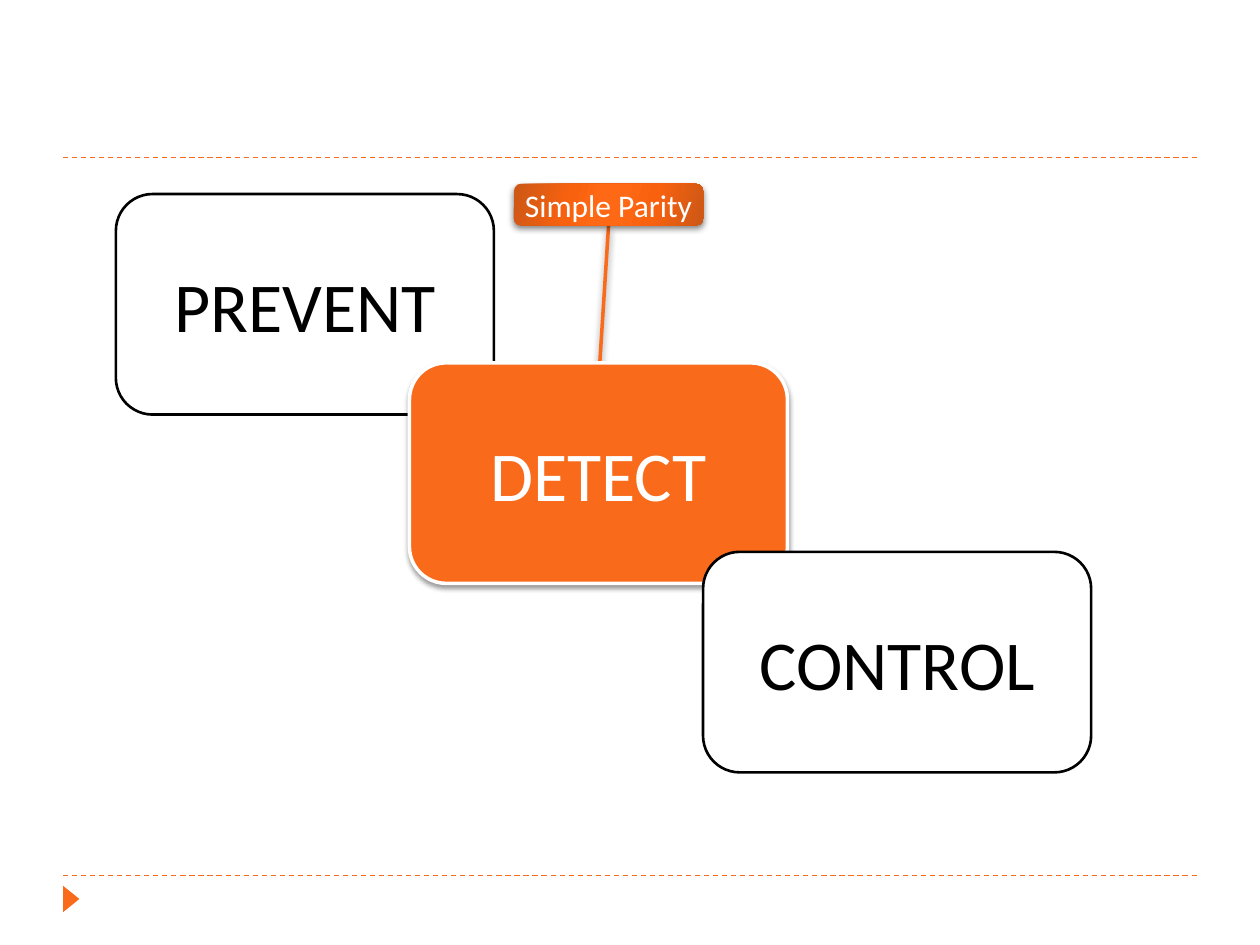
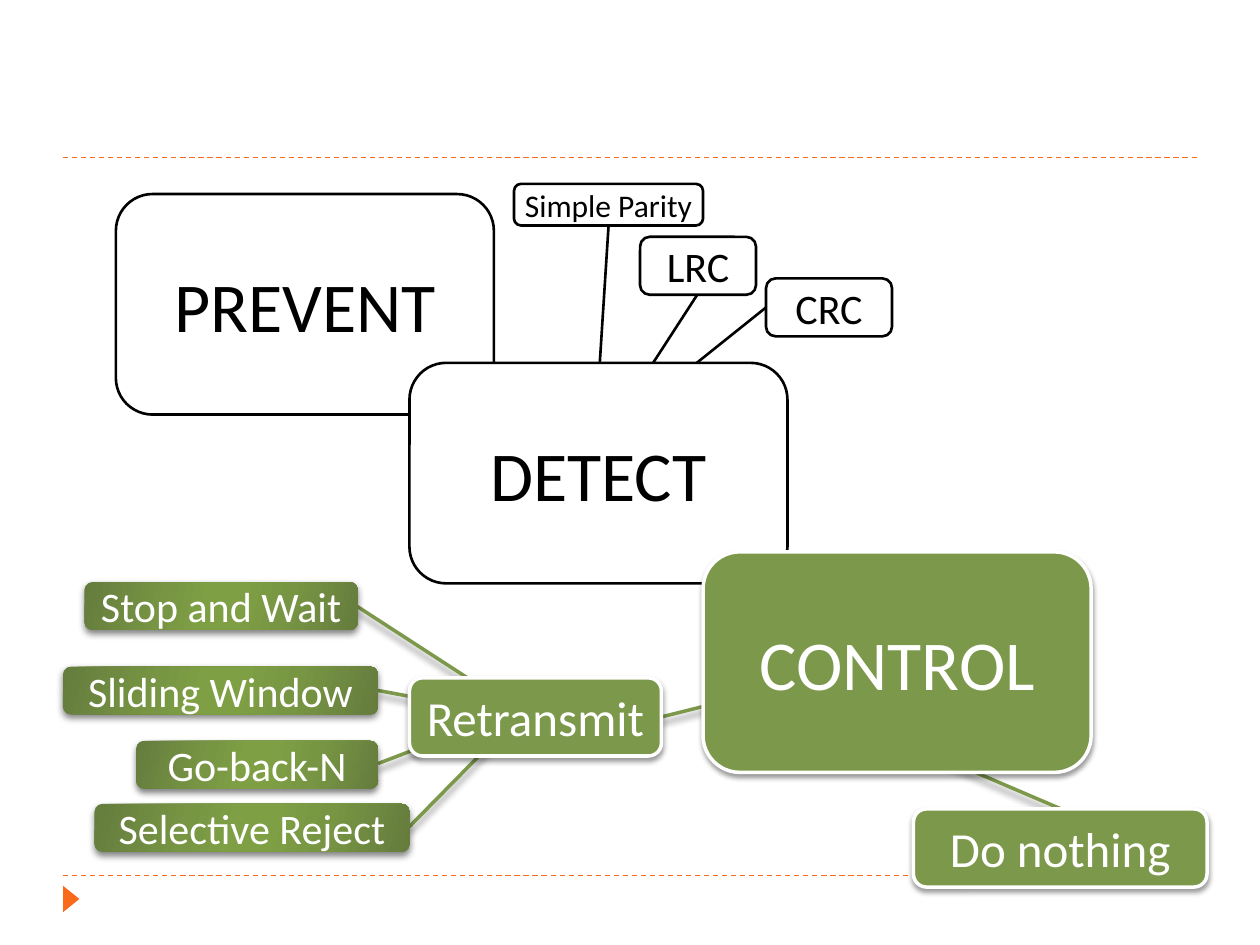
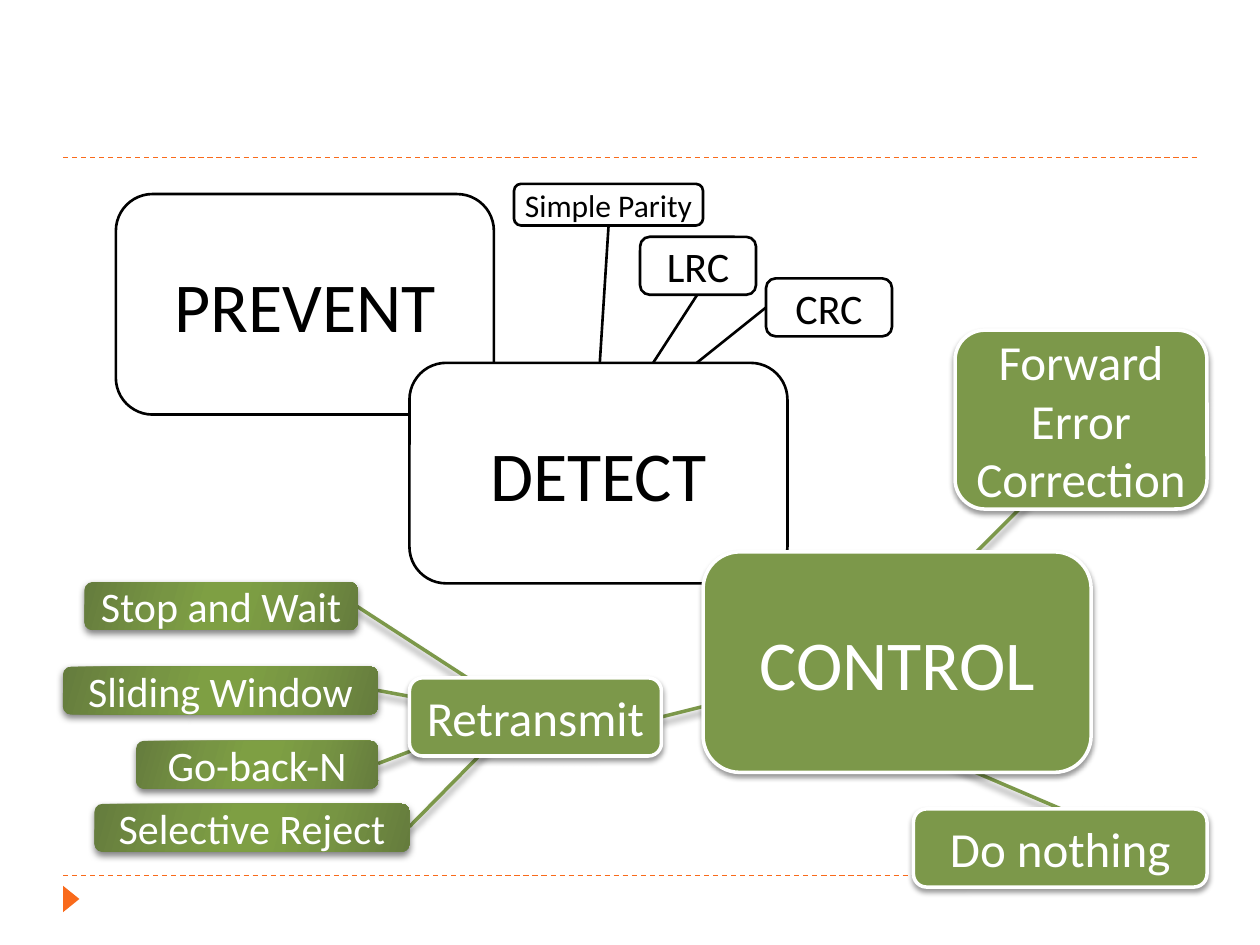
"""Build three slides that map ways to prevent, detect and control errors."""
from lxml import etree
from pptx import Presentation
from pptx.dml.color import RGBColor
from pptx.enum.dml import MSO_LINE
from pptx.enum.shapes import MSO_CONNECTOR, MSO_SHAPE
from pptx.enum.text import MSO_ANCHOR, PP_ALIGN
from pptx.oxml.ns import qn
from pptx.util import Inches, Pt

LINE = MSO_CONNECTOR.STRAIGHT
ROUND = MSO_SHAPE.ROUNDED_RECTANGLE
WEDGE = MSO_SHAPE.ISOSCELES_TRIANGLE
DASH = MSO_LINE.DASH
MIDDLE = MSO_ANCHOR.MIDDLE
CENTER = PP_ALIGN.CENTER

FONT = "Calibri"
HUES = {"black": "000000", "white": "FFFFFF", "orange": "F96A1B", "green": "7C984A"}
GLOSS = {
    "orange": ("CC5716", "F8620F", "FF6815"),
    "green": ("657C3D", "779543", "7E9F43"),
}
STOPS = ((0, 0), (30, 1), (45, 2), (55, 2), (73, 1), (100, 0))

NODES = {
    "PREVENT": (0.92, 1.54, 3, 1.75, 40),
    "DETECT": (3.25, 2.88, 3, 1.75, 40),
    "CONTROL": (5.58, 4.38, 3.08, 1.75, 40),
    "LRC": (5.08, 1.88, 0.92, 0.46, 24),
    "Simple Parity": (4.08, 1.46, 1.5, 0.33, 18),
    "CRC": (6.08, 2.21, 1, 0.46, 24),
    "Retransmit": (3.25, 5.38, 2, 0.62, 28),
    "Go-back-N": (1.08, 5.88, 1.92, 0.38, 24),
    "Sliding Window": (0.5, 5.29, 2.5, 0.38, 24),
    "Stop and Wait": (0.67, 4.62, 2.17, 0.38, 24),
    "Forward Error Correction": (7.58, 2.62, 2, 1.42, 28),
    "Selective Reject": (0.75, 6.38, 2.5, 0.38, 24),
    "Do nothing": (7.25, 6.42, 2.33, 0.62, 28),
}
TIGHT = ("Simple Parity", "Forward Error Correction")
LINKS = {
    "Do nothing": (8.42, 6.42, 7.25, 5.92),
    "Selective Reject": (3.92, 5.88, 3.25, 6.56),
    "Forward Error Correction": (7.42, 4.71, 8.25, 3.88),
    "Retransmit": (5.25, 5.69, 6.17, 5.46),
    "Stop and Wait": (4.08, 5.62, 2.83, 4.81),
    "Sliding Window": (3.75, 5.62, 3, 5.48),
    "Go-back-N": (3.92, 5.71, 3, 6.06),
    "LRC": (5.08, 3.04, 5.54, 2.33),
    "Simple Parity": (4.75, 3.04, 4.83, 1.79),
    "CRC": (5.33, 3.04, 6.08, 2.44),
}

PLAIN = ("PREVENT", "DETECT", "CONTROL", "LRC", "Simple Parity", "CRC")
SOLID = ("CONTROL", "Retransmit", "Do nothing")
SHINY = ("Go-back-N", "Sliding Window", "Stop and Wait", "Selective Reject")
PAGES = (
    ("orange", ("PREVENT", "CONTROL"), ("DETECT",), ("Simple Parity",)),
    ("green", PLAIN, SOLID, SHINY),
    ("green", PLAIN, SOLID + ("Forward Error Correction",), SHINY),
)


def shade(shape, blur, drop, alpha):
    """Give a shape or connector a soft shadow straight below it."""
    effects = etree.SubElement(shape.element.spPr, qn("a:effectLst"))
    outer = etree.SubElement(effects, qn("a:outerShdw"), blurRad=str(Pt(blur)),
                             dist=str(Pt(drop)), dir="5400000", rotWithShape="0")
    tint = etree.SubElement(outer, qn("a:srgbClr"), val=HUES["black"])
    etree.SubElement(tint, qn("a:alpha"), val=str(alpha * 1000))


def link(slide, ends, hue, width):
    """Draw a straight line between two points."""
    line = slide.shapes.add_connector(LINE, *map(Inches, ends))
    line.line.color.rgb = RGBColor.from_string(HUES[hue])
    line.line.width = Pt(width)
    return line


deck = Presentation()
deck.slide_width, deck.slide_height = Inches(10), Inches(7.5)
blank = deck.slide_layouts[6]
for holder in list(blank.placeholders):
    holder.element.getparent().remove(holder.element)
slides = [deck.slides.add_slide(blank) for page in PAGES]

frame = []
for top in (6.95, 1.25):
    rule = link(slides[0], (0.5, top, 9.5, top), "orange", 0.75)
    rule.line.dash_style = DASH
    etree.SubElement(rule.element.spPr, qn("a:effectLst"))
    frame.append(rule)
mark = slides[0].shapes.add_shape(WEDGE, *map(Inches, (0.46, 7.07, 0.21, 0.13)))
mark.rotation = 90
mark.fill.solid()
mark.fill.fore_color.rgb = RGBColor.from_string(HUES["orange"])
mark.line.fill.background()
mark.shadow.inherit = False
frame.append(mark)
for part in frame:
    blank.shapes.element.append(part.element)

for slide, (tone, plain, solid, shiny) in zip(slides, PAGES):
    shown = plain + solid + shiny
    for name, ends in LINKS.items():
        if name in plain:
            line = link(slide, ends, "black", 1.5)
            etree.SubElement(line.element.spPr, qn("a:effectLst"))
        elif name in shown:
            shade(link(slide, ends, tone, 2), 4, 3.4, 40)

    for name, (left, top, width, height, size) in NODES.items():
        if name not in shown:
            continue
        box = slide.shapes.add_shape(ROUND, *map(Inches, (left, top, width, height)))
        if name in shiny:
            box.fill.gradient()
            box.fill.gradient_angle = 344
            ramp = box.element.spPr.find(".//" + qn("a:gsLst"))
            ramp.clear()
            for spot, step in STOPS:
                stop = etree.SubElement(ramp, qn("a:gs"), pos=str(spot * 1000))
                etree.SubElement(stop, qn("a:srgbClr"), val=GLOSS[tone][step])
            box.line.fill.background()
            ink = "white"
            shade(box, 4, 2, 50)
        else:
            lit = name in solid
            fill, edge, ink = (tone, "white", "white") if lit else ("white", "black", "black")
            box.fill.solid()
            box.fill.fore_color.rgb = RGBColor.from_string(HUES[fill])
            box.line.color.rgb = RGBColor.from_string(HUES[edge])
            box.line.width = Pt(2 if lit else 1.5)
            if lit:
                shade(box, 3, 2, 40)
            else:
                box.shadow.inherit = False

        text = box.text_frame
        text.word_wrap = True
        text.vertical_anchor = MIDDLE
        if name in TIGHT:
            text.margin_left = text.margin_right = 0
            text.margin_top = text.margin_bottom = 0
        para = text.paragraphs[0]
        para.alignment = CENTER
        run = para.add_run()
        run.text = name
        run.font.name = FONT
        run.font.size = Pt(size)
        run.font.color.rgb = RGBColor.from_string(HUES[ink])

deck.save("out.pptx")
